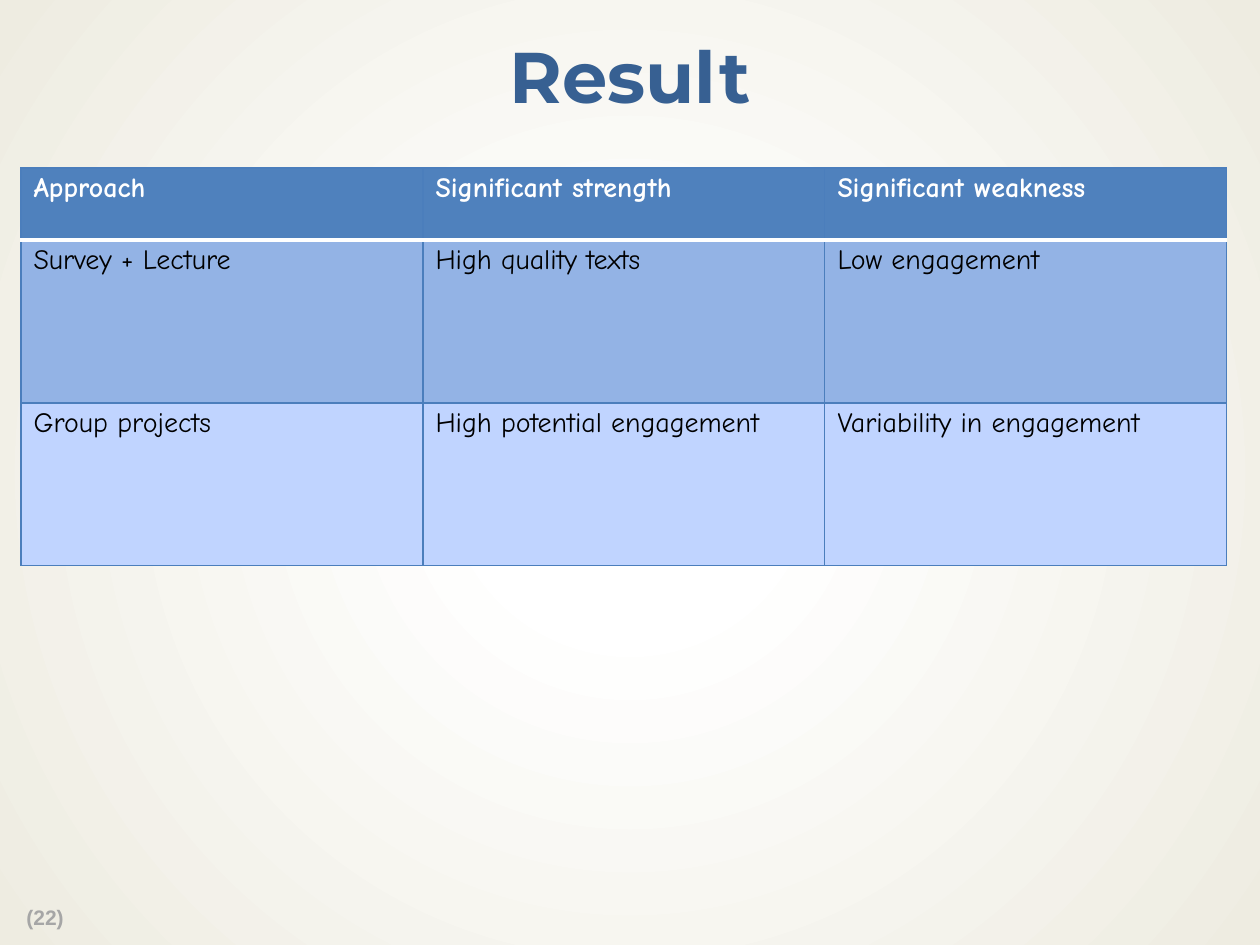
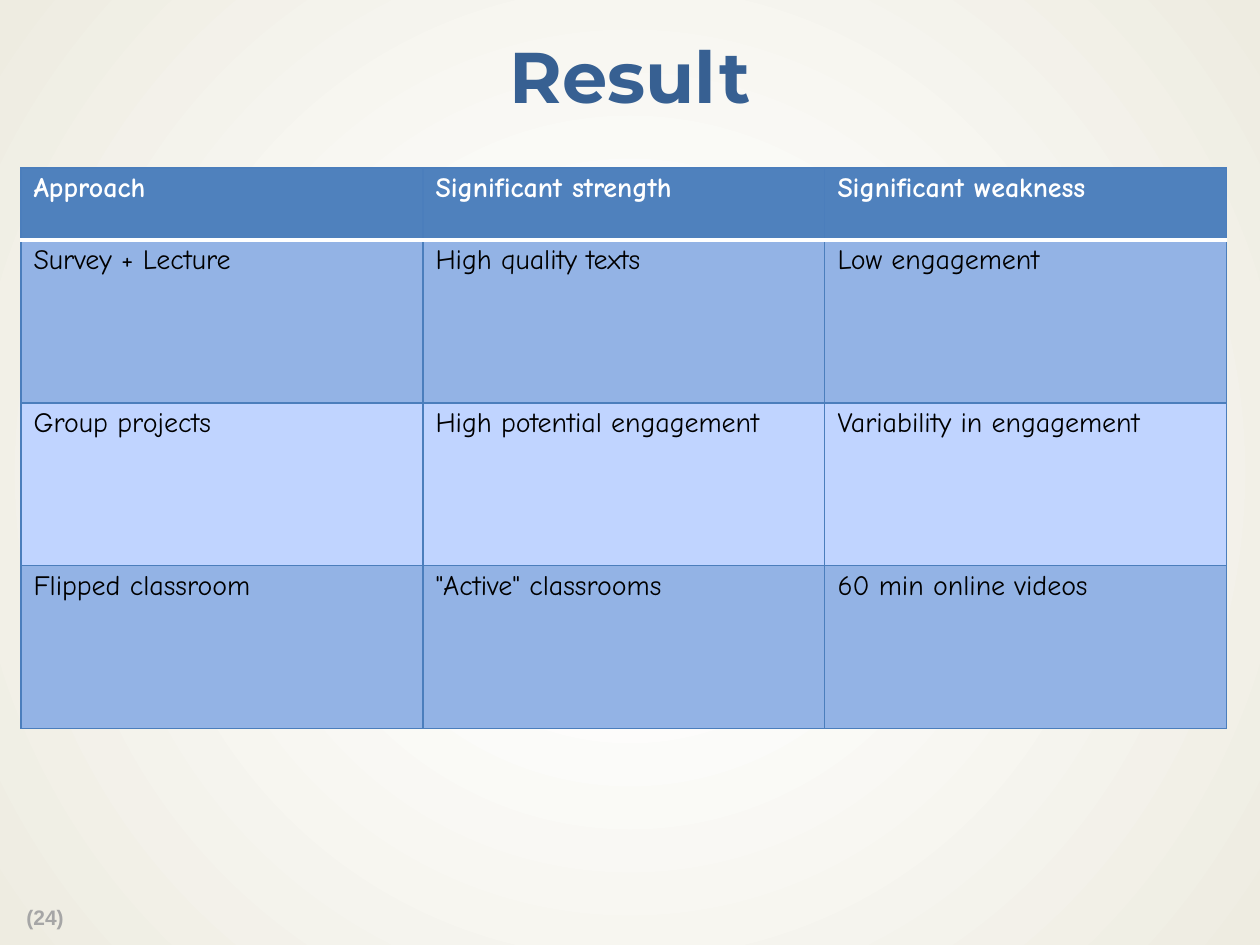
from lxml import etree
from pptx import Presentation
from pptx.dml.color import RGBColor
from pptx.enum.text import MSO_ANCHOR, MSO_AUTO_SIZE, PP_ALIGN
from pptx.oxml import parse_xml
from pptx.util import Emu, Pt

CENTER = PP_ALIGN.CENTER
MIDDLE = MSO_ANCHOR.MIDDLE
NO_FIT = MSO_AUTO_SIZE.NONE

WHITE = RGBColor(0xFF, 0xFF, 0xFF)
BLACK = RGBColor(0x00, 0x00, 0x00)
NAVY = RGBColor(0x37, 0x60, 0x92)
GRAY = RGBColor(0xA6, 0xA6, 0xA6)
BLUE = RGBColor(0x4F, 0x81, 0xBD)
BAND = RGBColor(0x93, 0xB3, 0xE5)
PALE = RGBColor(0xC0, 0xD4, 0xFF)
EDGE = RGBColor(0x4B, 0x7E, 0xBC)
CREAM = RGBColor(0xEE, 0xEC, 0xE1)

NS = "http://schemas.openxmlformats.org/drawingml/2006/main"
SCALE = 914400 / 126
LEFT, TOP, COL = 21, 168, 402
HEAD, BODY = 72, 163

ROWS = [
    ("Approach", "Significant strength", "Significant weakness"),
    ("Survey + Lecture", "High quality texts", "Low engagement"),
    ("Group projects", "High potential engagement", "Variability in engagement"),
    ("Flipped classroom", '"Active" classrooms', "60 min online videos"),
]
SLIDES = [("(22)", ROWS[:3]), ("(24)", ROWS)]


def px(n):
    return Emu(round(n * SCALE))


def write(frame, text, font, size, color, bold):
    para = frame.paragraphs[0]
    para.line_spacing = 0.9
    run = para.add_run()
    run.text = text
    run.font.name = font
    run.font.size = Pt(size)
    run.font.bold = bold
    run.font.color.rgb = color
    return para


prs = Presentation()
prs.slide_width, prs.slide_height = px(1260), px(945)

back = prs.slide_master.background.fill
back.gradient()
grad = prs.slide_master.element.find(f".//{{{NS}}}gradFill")
grad.getparent().replace(grad, parse_xml(
    f'<a:gradFill xmlns:a="{NS}" rotWithShape="1"><a:gsLst>'
    f'<a:gs pos="18000"><a:srgbClr val="{WHITE}"><a:alpha val="53000"/></a:srgbClr></a:gs>'
    f'<a:gs pos="100000"><a:srgbClr val="{CREAM}"/></a:gs></a:gsLst>'
    '<a:path path="circle"><a:fillToRect l="50000" t="50000" r="50000" b="50000"/></a:path>'
    '</a:gradFill>'))

for number, rows in SLIDES:
    slide = prs.slides.add_slide(prs.slide_layouts[5])

    title = slide.shapes.title
    title.left, title.top, title.width, title.height = px(0), px(21), px(1260), px(118)
    frame = title.text_frame
    frame.auto_size = NO_FIT
    frame.vertical_anchor = MIDDLE
    frame.margin_left = frame.margin_right = px(16)
    frame.margin_top = frame.margin_bottom = px(8)
    write(frame, "Result", "Montserrat", 41, NAVY, True).alignment = CENTER

    foot = slide.shapes.add_textbox(px(14), px(901), px(71), px(35))
    foot.text_frame.word_wrap = True
    write(foot.text_frame, number, "Arial", 12, GRAY, True)

    tall = HEAD + BODY * (len(rows) - 1)
    table = slide.shapes.add_table(len(rows), 3, px(LEFT), px(TOP), px(COL * 3), px(tall)).table
    table.first_row = table.horz_banding = False
    for col in table.columns:
        col.width = px(COL)

    for r, texts in enumerate(rows):
        table.rows[r].height = px(BODY if r else HEAD)
        for c, text in enumerate(texts):
            cell = table.cell(r, c)
            props = cell._tc.get_or_add_tcPr()
            for side in "LRTB":
                rule = (r, side) in [(0, "B"), (1, "T")]
                line = etree.SubElement(props, f"{{{NS}}}ln{side}", w=str(Pt(2 if rule else 0.75)))
                fill = etree.SubElement(line, f"{{{NS}}}solidFill")
                etree.SubElement(fill, f"{{{NS}}}srgbClr", val=str(WHITE if rule else EDGE))
            cell.fill.solid()
            cell.fill.fore_color.rgb = BLUE if r == 0 else BAND if r % 2 else PALE
            write(cell.text_frame, text, "Comic Neue", 16, BLACK if r else WHITE, r == 0)

prs.save("out.pptx")
